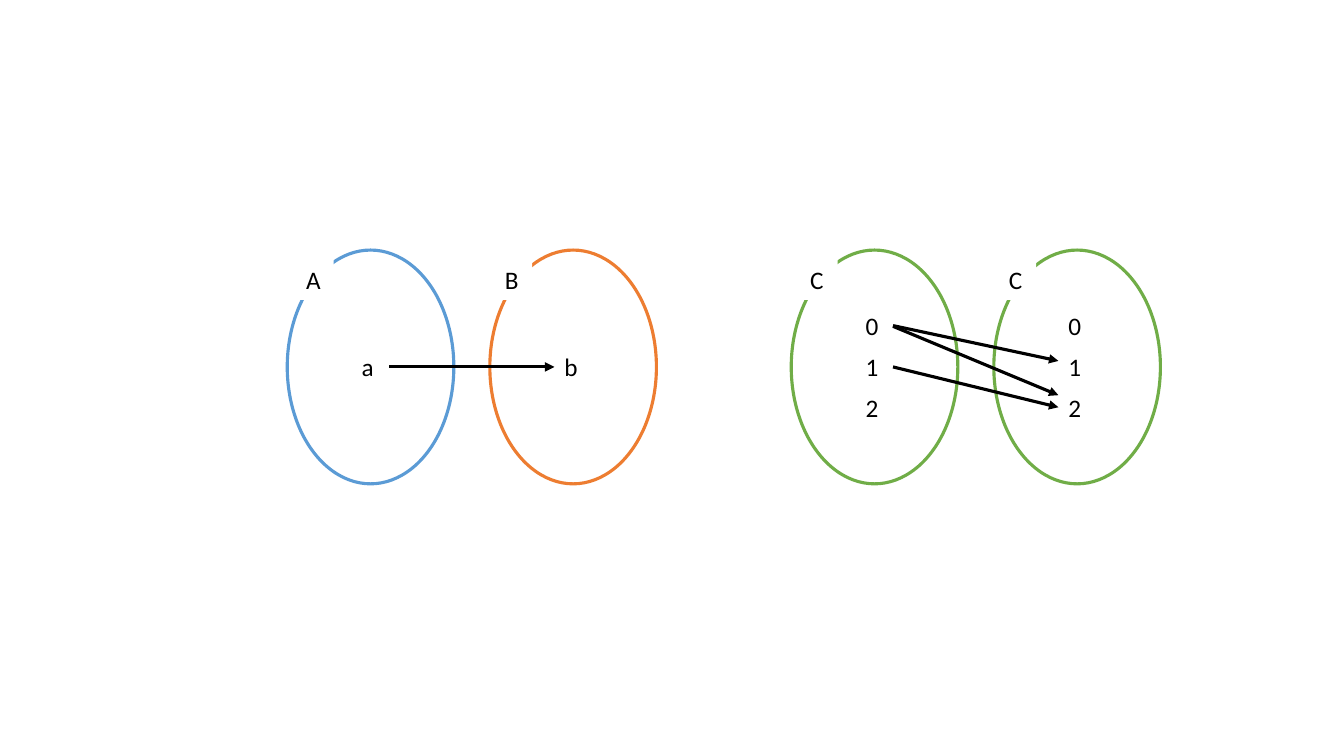
import pptx
import pptx.util
import pptx.dml.color
import pptx.enum.shapes
import pptx.enum.text
import pptx.oxml.ns
import lxml.etree

Pt = pptx.util.Pt
SHAPES = pptx.enum.shapes.MSO_SHAPE
OVAL_WIDTH, OVAL_HEIGHT, OVAL_STEP = 119, 167, 144.7
LABEL_WIDTH, ROW_HEIGHT = 26.6, 29.08
ELEMENT_LEFT = 46.1
MIDDLE = OVAL_HEIGHT / 2


def color(value):
    """Turn a hex string into a colour."""
    return pptx.dml.color.RGBColor.from_string(value)


def add_text(slide, text, left, top, size=18, font="Calibri", ink="000000", fill="FFFFFF"):
    """Add a filled text box of one row's size."""
    shape = slide.shapes.add_textbox(Pt(left), Pt(top), Pt(LABEL_WIDTH), Pt(ROW_HEIGHT))
    shape.fill.solid()
    shape.fill.fore_color.rgb = color(fill)
    frame = shape.text_frame
    frame.word_wrap = True
    frame.auto_size = pptx.enum.text.MSO_AUTO_SIZE.SHAPE_TO_FIT_TEXT
    run = frame.paragraphs[0].add_run()
    run.text = text
    run.font.size = Pt(size)
    run.font.name = font
    run.font.color.rgb = color(ink)


def add_oval(slide, left, top, outline):
    """Add the outline of one set."""
    shape = slide.shapes.add_shape(SHAPES.OVAL, Pt(left), Pt(top), Pt(OVAL_WIDTH), Pt(OVAL_HEIGHT))
    shape.shadow.inherit = False
    shape.fill.solid()
    shape.fill.fore_color.rgb = color("FFFFFF")
    shape.line.color.rgb = color(outline)
    shape.line.width = Pt(2.25)


def add_arrow(slide, start_x, start_y, end_x, end_y):
    """Add a black line with a triangle at its end."""
    connector = slide.shapes.add_connector(
        pptx.enum.shapes.MSO_CONNECTOR.STRAIGHT, Pt(start_x), Pt(start_y), Pt(end_x), Pt(end_y))
    connector.line.color.rgb = color("000000")
    connector.line.width = Pt(2.25)
    qualified = pptx.oxml.ns.qn
    properties = connector._element.spPr
    lxml.etree.SubElement(properties.find(qualified("a:ln")), qualified("a:tailEnd"), type="triangle")
    lxml.etree.SubElement(properties, qualified("a:effectLst"))


def add_mapping(slide, left, top, sets, arrows):
    """Draw two sets side by side and the arrows between their elements."""
    for index, (name, outline, elements) in enumerate(sets):
        add_oval(slide, left + index * OVAL_STEP, top, outline)
    for index, (name, outline, elements) in enumerate(sets):
        oval_left = left + index * OVAL_STEP
        add_text(slide, name, oval_left + (6.5, 3.6)[index], top + 6.5)
        first_top = top + MIDDLE - len(elements) * ROW_HEIGHT / 2
        for row, element in enumerate(elements):
            add_text(slide, element, oval_left + ELEMENT_LEFT, first_top + row * ROW_HEIGHT)
    start_x = left + ELEMENT_LEFT + LABEL_WIDTH
    end_x = left + OVAL_STEP + ELEMENT_LEFT
    for start_y, end_y in arrows:
        add_arrow(slide, start_x, top + MIDDLE + start_y, end_x, top + MIDDLE + end_y)


def main():
    """Build the slide with both mappings and save it."""
    presentation = pptx.Presentation()
    presentation.slide_width, presentation.slide_height = Pt(960), Pt(540)
    slide = presentation.slides.add_slide(presentation.slide_layouts[6])
    add_mapping(slide, 205.2, 178.6, [("A", "5B9BD5", "a"), ("B", "ED7D31", "b")], [(0, 0)])
    add_mapping(slide, 565.2, 178.6, [("C", "70AD47", "012")] * 2,
                [(0, 28.8), (-29.5, -4.3), (-29, 20.2)])
    presentation.save("out.pptx")


main()
